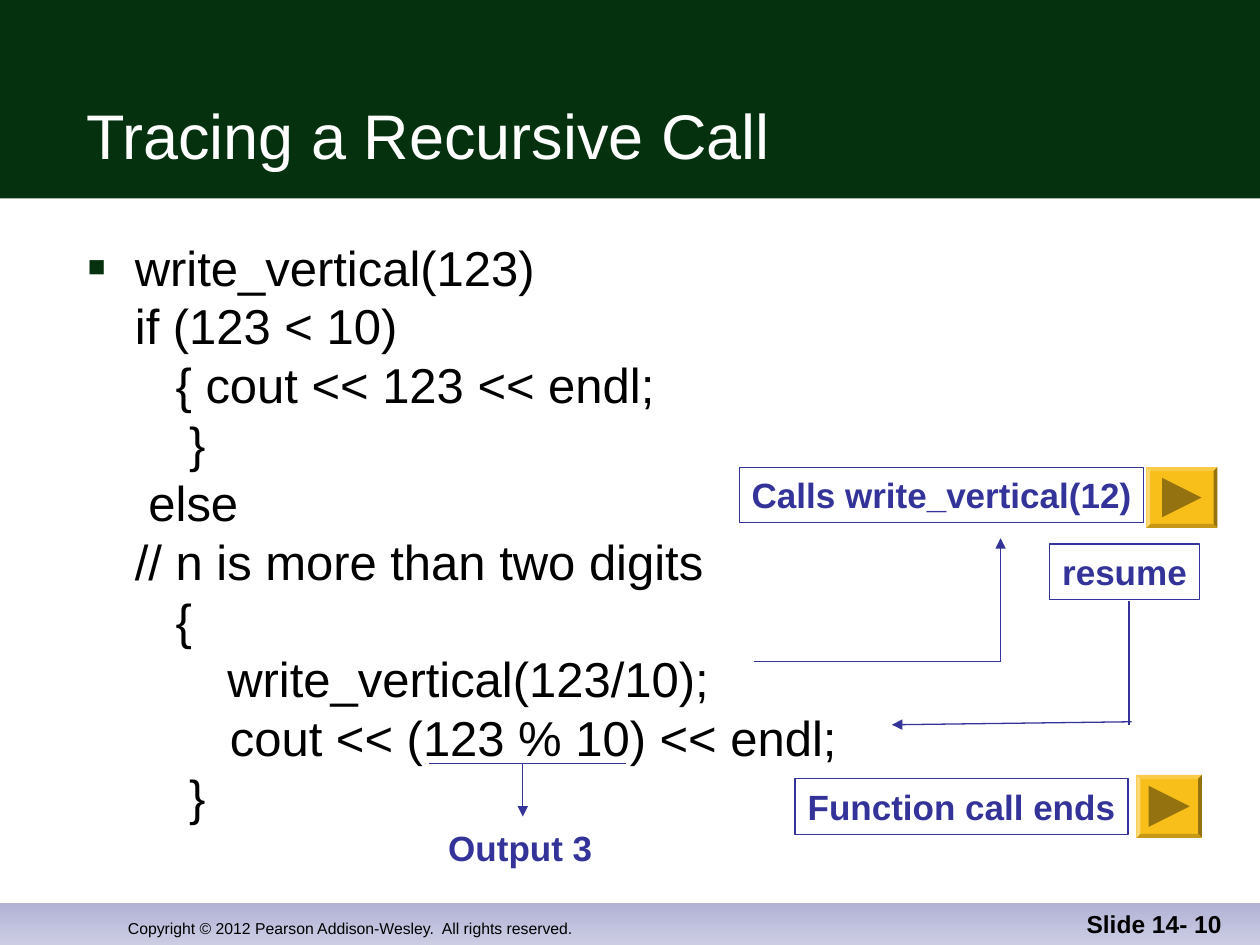
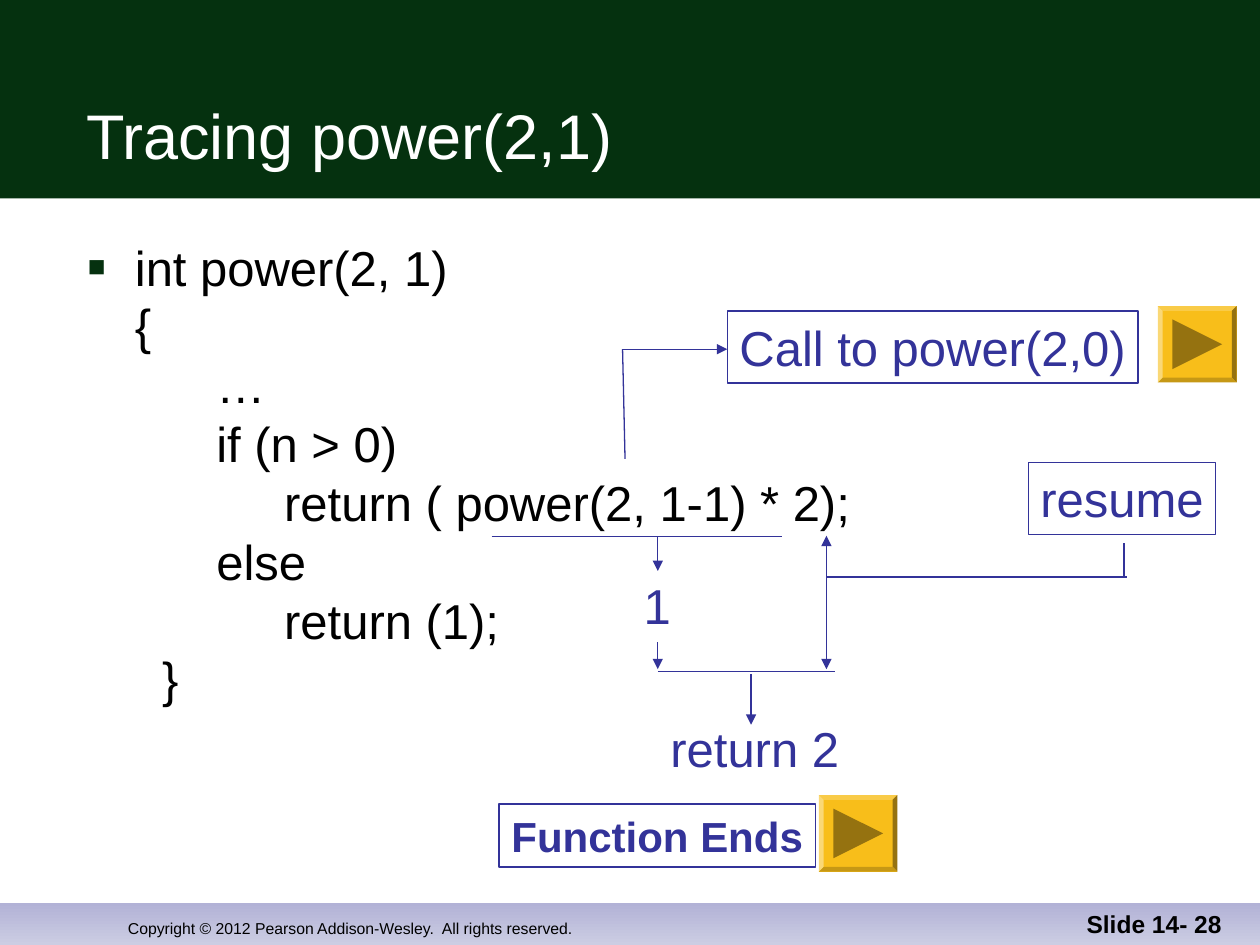
"""Build two slides that trace recursive calls."""
import dataclasses
import typing

import lxml.etree
import pptx
import pptx.dml.color
import pptx.enum.shapes
import pptx.enum.text
import pptx.oxml.ns
import pptx.util

Cm = pptx.util.Cm
Kind = pptx.enum.shapes.MSO_SHAPE
Side = pptx.enum.text.PP_ALIGN
Hold = pptx.enum.text.MSO_ANCHOR
qn = pptx.oxml.ns.qn

GREEN, BLUE, WHITE, BLACK = "05310F", "333399", "FFFFFF", "000000"
HAZE, PALE = "B2B2D6", "CCCDE3"
GOLD, LIGHT, GLOW, DARK, SHADE = "F8BE1A", "F9CB48", "FAD876", "957210", "C69815"
WIDE, HIGH = 25.4, 19.05
RIGHTS = "Copyright © 2012 Pearson Addison-Wesley.  All rights reserved."


class Area(typing.NamedTuple):
    x: float
    y: float
    w: float
    h: float


class Line(typing.NamedTuple):
    x: float
    y: float
    to_x: float
    to_y: float
    arrow: bool = False


@dataclasses.dataclass
class Style:
    size: int
    color: str
    bold: bool = False
    align: typing.Any = Side.LEFT
    hold: typing.Any = Hold.TOP
    wrap: bool = True


@dataclasses.dataclass
class Label:
    text: str
    area: Area
    style: Style
    edged: bool = True


@dataclasses.dataclass
class Page:
    title: str
    number: int
    code: str
    labels: list[Label]
    lines: list[Line]
    buttons: list[Area]


HEAD = Style(36, WHITE, hold=Hold.BOTTOM)
CODE = Style(28, BLACK)
SMALL = Style(9, BLACK, hold=Hold.BOTTOM)
COUNT = Style(14, BLACK, True, Side.RIGHT, Hold.BOTTOM)
NOTE = Style(20, BLUE, True, Side.CENTER, wrap=False)
LARGE = Style(28, BLUE, False, Side.CENTER, wrap=False)
CLOSE = Style(24, BLUE, True, Side.CENTER, wrap=False)

PAGES = [
    Page(
        "Tracing a Recursive Call", 10,
        "write_vertical(123)\n"
        "if (123 < 10)\n"
        "   { cout << 123 << endl;\n"
        "    }\n"
        " else\n"
        "// n is more than two digits\n"
        "   {\n"
        " \t write_vertical(123/10);\n"
        "       cout << (123 % 10) << endl;\n"
        "    }",
        [
            Label("Calls write_vertical(12)", Area(14.91, 9.42, 8.15, 1.12), NOTE),
            Label("resume", Area(21.16, 10.97, 3.02, 1.12), NOTE),
            Label("Output 3", Area(8.49, 16.54, 4, 1.12), NOTE, False),
            Label("Function call ends", Area(16.03, 15.7, 6.71, 1.12), NOTE),
        ],
        [
            Line(15.19, 13.34, 20.17, 13.34),
            Line(20.17, 13.34, 20.17, 10.85, True),
            Line(22.76, 12.12, 22.76, 14.61),
            Line(22.81, 14.55, 17.98, 14.61, True),
            Line(8.64, 15.39, 12.62, 15.39),
            Line(10.54, 15.39, 10.54, 16.46, True),
        ],
        [Area(23.11, 9.42, 1.43, 1.22), Area(22.91, 15.62, 1.32, 1.27)],
    ),
    Page(
        "Tracing power(2,1)", 28,
        "int power(2, 1)\n"
        "{\n"
        "      …\n"
        "      if (n > 0)\n"
        "           return ( power(2, 1-1) * 2);\n"
        "      else\n"
        "           return (1);\n"
        "  }",
        [
            Label("Call to power(2,0)", Area(14.66, 6.27, 8.28, 1.45), LARGE),
            Label("resume", Area(20.73, 9.32, 3.78, 1.45), LARGE),
            Label("1", Area(12.53, 11.48, 1.44, 1.45), LARGE, False),
            Label("return 2", Area(13.01, 14.35, 4.41, 1.45), LARGE, False),
            Label("Function Ends", Area(10.06, 16.21, 6.38, 1.27), CLOSE),
        ],
        [
            Line(12.6, 9.25, 12.55, 7.04),
            Line(12.55, 7.04, 14.66, 7.04, True),
            Line(13.26, 10.82, 13.26, 11.51, True),
            Line(9.91, 10.82, 15.77, 10.82),
            Line(22.66, 10.95, 22.66, 11.63),
            Line(22.71, 11.63, 16.66, 11.63),
            Line(16.66, 11.63, 16.66, 10.8, True),
            Line(13.26, 13.54, 16.84, 13.54),
            Line(16.66, 11.58, 16.66, 13.49, True),
            Line(15.14, 13.59, 15.14, 14.61, True),
            Line(13.26, 12.95, 13.26, 13.49, True),
        ],
        [Area(23.34, 6.17, 1.59, 1.54), Area(16.51, 16.03, 1.58, 1.54)],
    ),
]


def tint(part: typing.Any, color: str) -> None:
    part.rgb = pptx.dml.color.RGBColor.from_string(color)


def apply(part: typing.Any, values: dict[str, typing.Any]) -> None:
    for name, value in values.items():
        setattr(part, name, value)


def paint(shape: typing.Any, color: str) -> None:
    shape.shadow.inherit = False
    shape.fill.solid()
    tint(shape.fill.fore_color, color)
    shape.line.fill.background()


def rect(slide: typing.Any, area: Area) -> typing.Any:
    return slide.shapes.add_shape(Kind.RECTANGLE, *map(Cm, area))


def write(shape: typing.Any, text: str, style: Style) -> typing.Any:
    frame = shape.text_frame
    apply(frame, {
        "word_wrap": style.wrap, "vertical_anchor": style.hold,
        "margin_left": Cm(0.25), "margin_right": Cm(0.25),
        "margin_top": Cm(0.13), "margin_bottom": Cm(0.13),
    })
    para = frame.paragraphs[0]
    para.text = text
    para.alignment = style.align
    for run in para.runs:
        apply(run.font, {
            "name": "Arial", "size": pptx.util.Pt(style.size), "bold": style.bold,
        })
        tint(run.font.color, style.color)
    return para


def put(slide: typing.Any, area: Area, text: str, style: Style) -> typing.Any:
    return write(slide.shapes.add_textbox(*map(Cm, area)), text, style)


def bullet(para: typing.Any) -> None:
    props = para._p.get_or_add_pPr()
    for name, value in {"marL": Cm(0.95), "indent": Cm(-0.95)}.items():
        props.set(name, str(int(value)))
    mark = lxml.etree.SubElement(props, qn("a:buClr"))
    lxml.etree.SubElement(mark, qn("a:srgbClr"), val=GREEN)
    lxml.etree.SubElement(props, qn("a:buSzPct"), val="60000")
    lxml.etree.SubElement(props, qn("a:buFont"), typeface="Arial")
    lxml.etree.SubElement(props, qn("a:buChar"), char="■")
    tabs = lxml.etree.SubElement(props, qn("a:tabLst"))
    for step in range(1, 9):
        lxml.etree.SubElement(tabs, qn("a:tab"), pos=str(int(Cm(2.54 * step))), algn="l")


def note(slide: typing.Any, label: Label) -> None:
    if not label.edged:
        put(slide, label.area, label.text, label.style)
        return
    box = rect(slide, label.area)
    box.shadow.inherit = False
    box.fill.background()
    tint(box.line.color, BLUE)
    box.line.width = pptx.util.Pt(0.75)
    write(box, label.text, label.style)


def link(slide: typing.Any, line: Line) -> None:
    wire = slide.shapes.add_connector(
        pptx.enum.shapes.MSO_CONNECTOR.STRAIGHT, *map(Cm, line[:4]))
    tint(wire.line.color, BLUE)
    wire.line.width = pptx.util.Pt(0.75)
    if line.arrow:
        lxml.etree.SubElement(wire.line._get_or_add_ln(), qn("a:tailEnd"), type="triangle")
    lxml.etree.SubElement(wire._element.spPr, qn("a:effectLst"))


def facet(slide: typing.Any, dots: list[tuple[float, float]], color: str) -> None:
    first, *rest = [(Cm(x), Cm(y)) for x, y in dots]
    pen = slide.shapes.build_freeform(*first)
    pen.add_line_segments(rest, close=True)
    paint(pen.convert_to_shape(), color)


def corners(area: Area, inset: float) -> list[tuple[float, float]]:
    left, top = area.x + inset, area.y + inset
    right, low = area.x + area.w - inset, area.y + area.h - inset
    return [(left, top), (right, top), (right, low), (left, low)]


def button(slide: typing.Any, area: Area) -> None:
    short = min(area.w, area.h)
    outer, inner = corners(area, 0), corners(area, short / 16)
    facet(slide, outer, GOLD)
    for i, color in enumerate([LIGHT, DARK, SHADE, GLOW]):
        j = (i + 1) % 4
        facet(slide, [outer[i], outer[j], inner[j], inner[i]], color)
    half = short * 0.325
    x, y = area.x + area.w / 2, area.y + area.h / 2
    facet(slide, [(x - half, y - half), (x + half, y), (x - half, y + half)], DARK)


def frame(slide: typing.Any, page: Page) -> None:
    foot = rect(slide, Area(0, 18.2, WIDE, 0.85))
    paint(foot, PALE)
    foot.fill.gradient()
    foot.fill.gradient_angle = 270
    for stop, color in zip(foot.fill.gradient_stops, [HAZE, PALE]):
        tint(stop.color, color)
    paint(rect(slide, Area(0, 0, WIDE, 4)), GREEN)
    put(slide, Area(2.33, 17.76, 12.5, 1.27), RIGHTS, SMALL)
    put(slide, Area(1.49, 0.84, 23.06, 2.77), page.title, HEAD)
    put(slide, Area(19.6, 17.78, 5.28, 1.27), f"Slide 14- {page.number}", COUNT)


def main() -> None:
    deck = pptx.Presentation()
    apply(deck, {"slide_width": Cm(WIDE), "slide_height": Cm(HIGH)})
    for page in PAGES:
        slide = deck.slides.add_slide(deck.slide_layouts[6])
        frame(slide, page)
        bullet(put(slide, Area(1.52, 4.65, 23.04, 12.7), page.code, CODE))
        for draw, items in ((note, page.labels), (link, page.lines), (button, page.buttons)):
            for item in items:
                draw(slide, item)
    deck.save("out.pptx")


if __name__ == "__main__":
    main()
